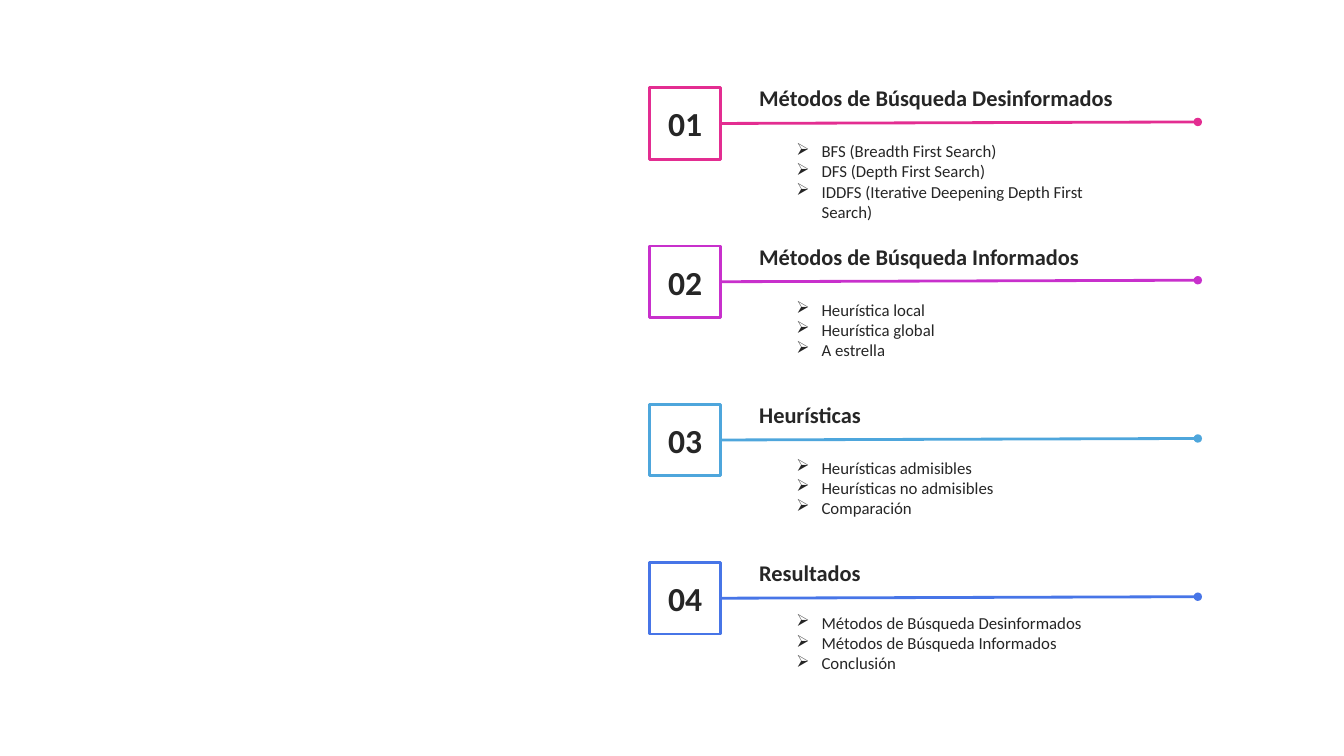
from lxml.etree import SubElement
from pptx import Presentation
from pptx.dml.color import RGBColor
from pptx.enum.shapes import MSO_CONNECTOR, MSO_SHAPE
from pptx.enum.text import MSO_ANCHOR, MSO_AUTO_SIZE, PP_ALIGN
from pptx.oxml.ns import qn
from pptx.util import Inches, Pt

COLORS = {
    "text": "262626",
    "white": "FFFFFF",
    "pink": "E32D91",
    "purple": "C830CC",
    "sky": "4EA6DC",
    "blue": "4775E7",
}
FONT = "Calibri"
SECTION_LEFT, SECTION_TOP, SECTION_PITCH = 6.44, 0.79, 1.57
SQUARE = 0.71
SECTIONS = [
    ("Métodos de Búsqueda Desinformados", "pink", 0.56, 0.91,
     ["BFS (Breadth First Search)", "DFS (Depth First Search)",
      "IDDFS (Iterative Deepening Depth First Search)"]),
    ("Métodos de Búsqueda Informados", "purple", 0.56, 0.71,
     ["Heurística local", "Heurística global", "A estrella"]),
    ("Heurísticas", "sky", 0.56, 0.71,
     ["Heurísticas admisibles", "Heurísticas no admisibles", "Comparación"]),
    ("Resultados", "blue", 0.53, 0.71,
     ["Métodos de Búsqueda Desinformados", "Métodos de Búsqueda Informados",
      "Conclusión"]),
]


def color(name):
    return RGBColor.from_string(COLORS[name])


def add_span(para, text, size, bold=False):
    span = para.add_run()
    span.text = text
    span.font.name = FONT
    span.font.size = Pt(size)
    span.font.bold = bold
    span.font.color.rgb = color("text")


def add_text_frame(page, left, top, width, height, inset=0.1):
    box = page.shapes.add_textbox(
        Inches(left), Inches(top), Inches(width), Inches(height))
    frame = box.text_frame
    frame.word_wrap = True
    frame.auto_size = MSO_AUTO_SIZE.SHAPE_TO_FIT_TEXT
    frame.margin_left = frame.margin_right = Inches(inset)
    return frame


def add_number_square(page, left, top, number, accent):
    square = page.shapes.add_shape(
        MSO_SHAPE.RECTANGLE, Inches(left), Inches(top), Inches(SQUARE), Inches(SQUARE))
    square.shadow.inherit = False
    square.fill.solid()
    square.fill.fore_color.rgb = color("white")
    square.line.color.rgb = color(accent)
    square.line.width = Pt(2)
    frame = square.text_frame
    frame.margin_left = frame.margin_right = 0
    frame.vertical_anchor = MSO_ANCHOR.MIDDLE
    para = frame.paragraphs[0]
    para.alignment = PP_ALIGN.CENTER
    add_span(para, f"{number:02d}", 24, bold=True)
    return square


def add_rule(page, square, right, top, accent):
    rule = page.shapes.add_connector(
        MSO_CONNECTOR.STRAIGHT, square.left + square.width,
        square.top + square.height // 2, Inches(right), Inches(top))
    rule.begin_connect(square, 3)
    rule.line.color.rgb = color(accent)
    rule.line.width = Pt(2)
    SubElement(rule.line._get_or_add_ln(), qn("a:tailEnd"), type="oval")
    SubElement(rule._element.spPr, qn("a:effectLst"))


def add_bullets(frame, items):
    for index, item in enumerate(items):
        para = frame.add_paragraph() if index else frame.paragraphs[0]
        properties = para._p.get_or_add_pPr()
        properties.set("marL", str(Inches(0.25)))
        properties.set("indent", str(-Inches(0.25)))
        SubElement(properties, qn("a:buChar"), char="➢")
        add_span(para, item, 12)


def add_section(page, left, top, number, section):
    title, accent, list_offset, list_height, items = section
    heading = add_text_frame(page, left + 0.97, top, 3.82, 0.37, inset=0.12)
    add_span(heading.paragraphs[0], title, 16, bold=True)
    square = add_number_square(page, left, top + 0.08, number, accent)
    add_rule(page, square, left + 5.44, top + 0.42, accent)
    add_bullets(
        add_text_frame(page, left + 1.36, top + list_offset, 3.41, list_height), items)


def main():
    deck = Presentation()
    deck.slide_width, deck.slide_height = Inches(13.33), Inches(7.5)
    page = deck.slides.add_slide(deck.slide_layouts[6])
    page.background.fill.solid()
    page.background.fill.fore_color.rgb = color("white")
    for index, section in enumerate(SECTIONS):
        add_section(page, SECTION_LEFT, SECTION_TOP + index * SECTION_PITCH,
                    index + 1, section)
    deck.save("out.pptx")


if __name__ == "__main__":
    main()
